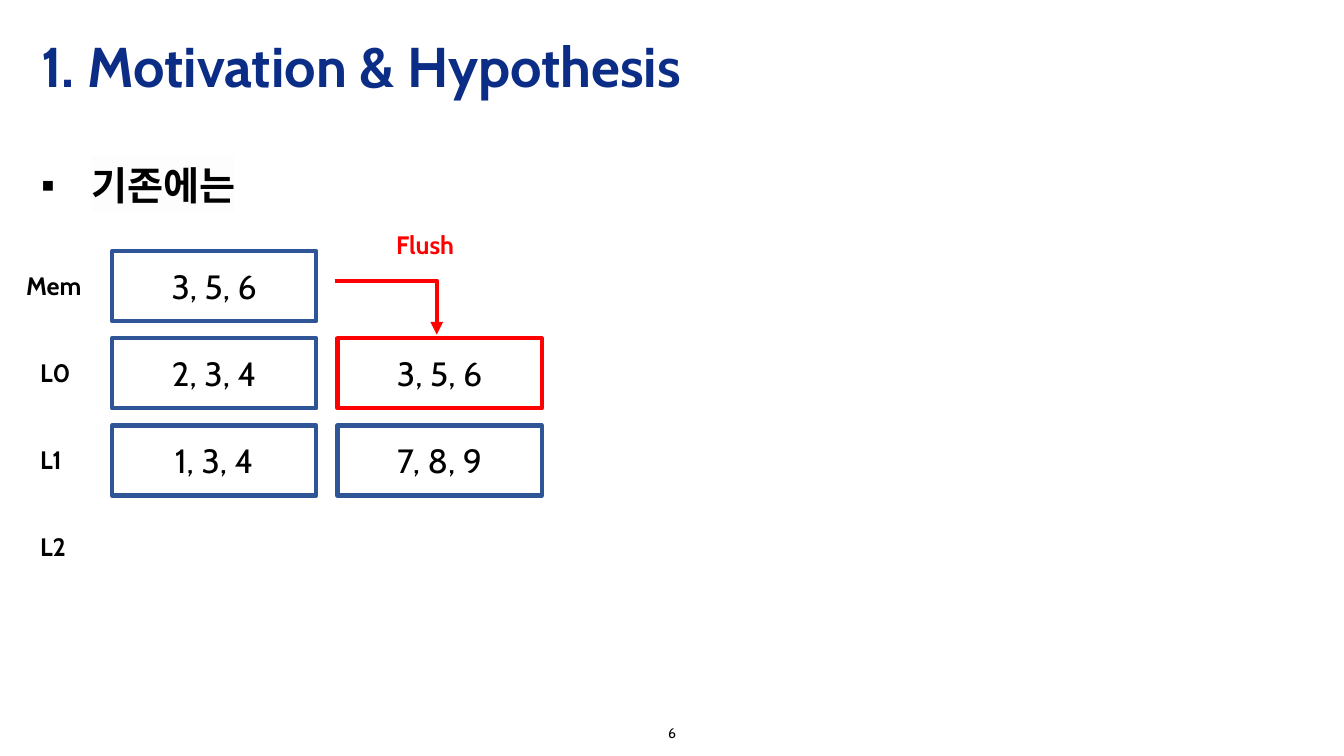
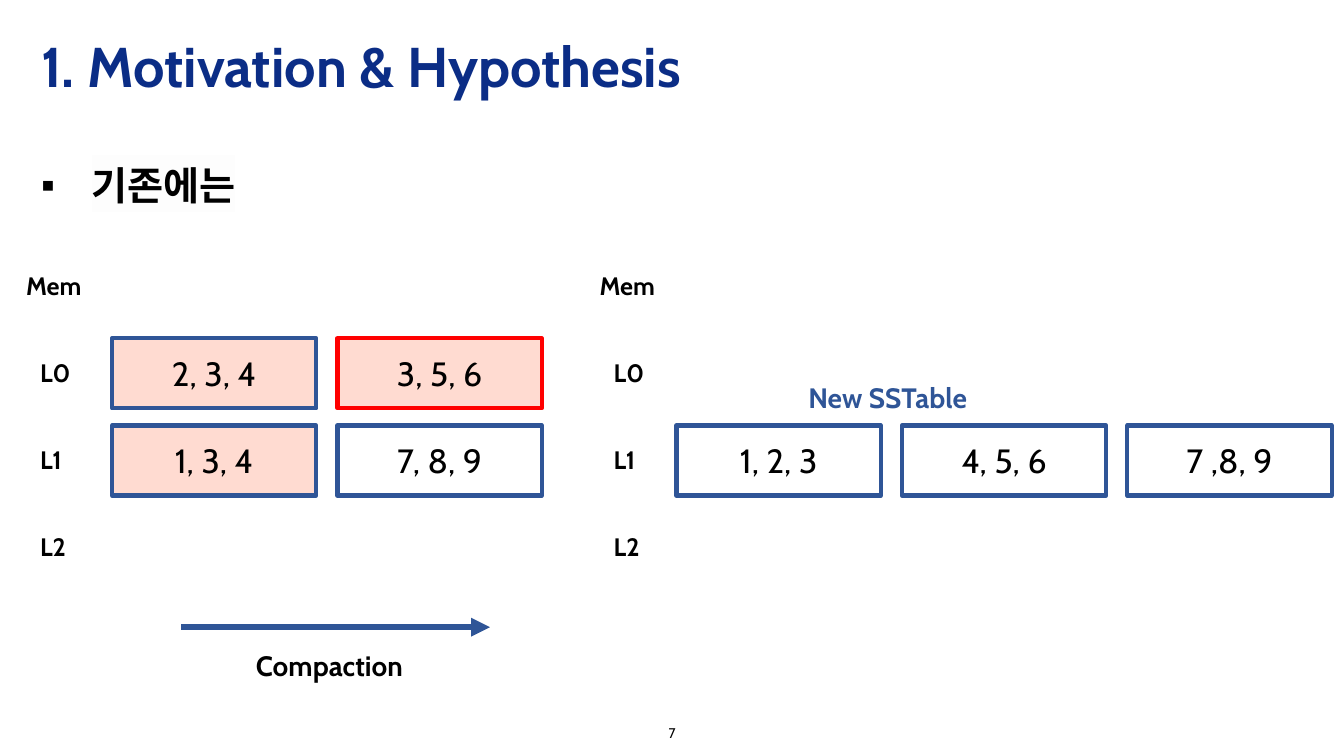
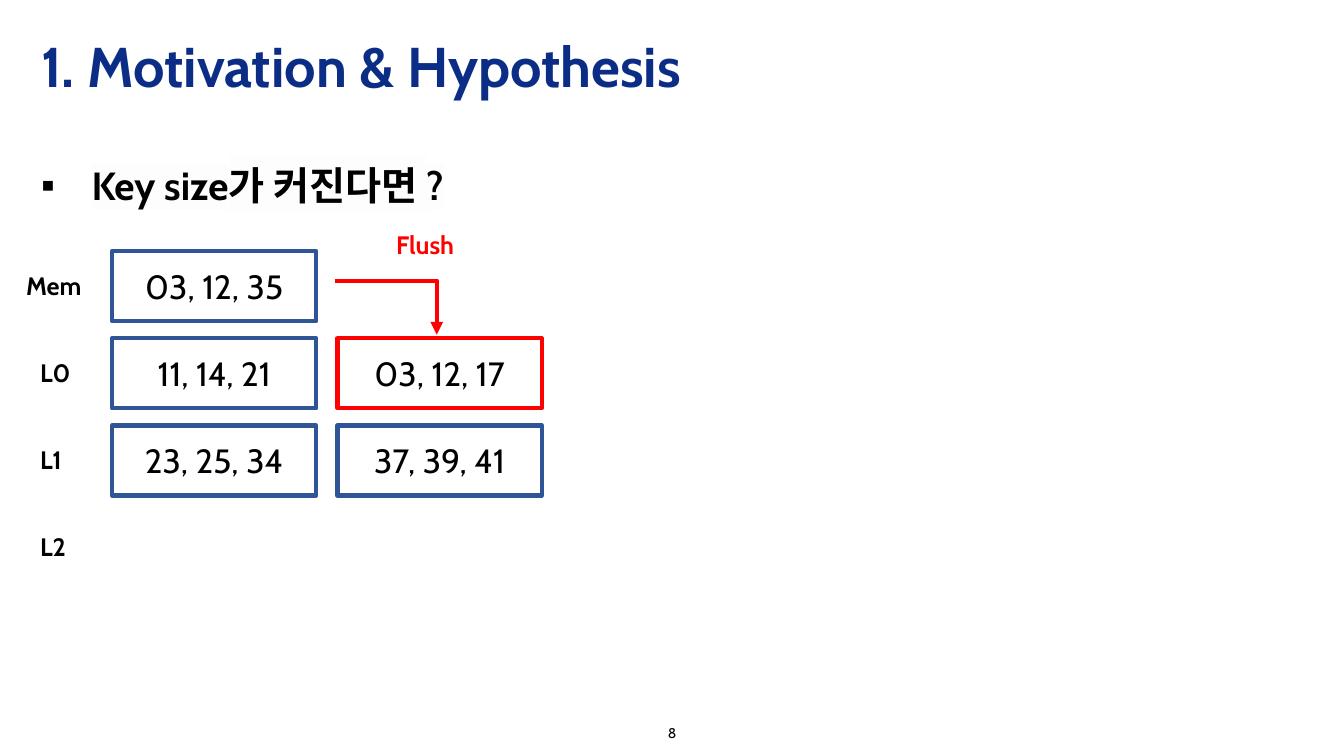
from pptx import Presentation
from pptx.dml.color import RGBColor
from pptx.enum.shapes import MSO_CONNECTOR, MSO_SHAPE
from pptx.enum.text import MSO_ANCHOR, PP_ALIGN
from pptx.oxml.ns import qn
from pptx.util import Pt
from lxml.etree import SubElement

FONT = "Cabin"
NAVY, BLUE, RED, PINK = "0B2D86", "2F5597", "FF0000", "FFDBD1"
BLACK, HIGHLIGHT = "000000", "FDFDFD"

TITLE = "1. Motivation & Hypothesis"
LEVELS = ["Mem", "L0", "L1", "L2"]
MEM, L0, L1 = range(3)

BOX_W, BOX_H = 146, 50
COL_PITCH, ROW_PITCH = 161, 62.3
BOX_TOP, LABEL_TOP = 179.4, 189.4
BEFORE = {"labels": 0, "boxes": 80}
AFTER = {"labels": 409.7, "boxes": 483.2}

# Tables: (level, column, keys, line colour, fill colour or None)
SLIDES = [
    {"page": "6", "heading": "기존에는", "flush": True, "panels": [
        (BEFORE, [(L0, 0, "2, 3, 4", BLUE, None),
                  (L1, 0, "1, 3, 4", BLUE, None),
                  (L1, 1, "7, 8, 9", BLUE, None),
                  (L0, 1, "3, 5, 6", RED, None),
                  (MEM, 0, "3, 5, 6", BLUE, None)])]},
    {"page": "7", "heading": "기존에는", "flush": False, "panels": [
        (BEFORE, [(L0, 0, "2, 3, 4", BLUE, PINK),
                  (L1, 0, "1, 3, 4", BLUE, PINK),
                  (L1, 1, "7, 8, 9", BLUE, None),
                  (L0, 1, "3, 5, 6", RED, PINK)]),
        (AFTER, [(L1, 0, "1, 2, 3", BLUE, None),
                 (L1, 1, "4, 5, 6", BLUE, None),
                 (L1, 2, "7 ,8, 9", BLUE, None)])]},
    {"page": "8", "heading": "Key size가 커진다면 ?", "flush": True, "panels": [
        (BEFORE, [(L0, 0, "11, 14, 21", BLUE, None),
                  (L1, 0, "23, 25, 34", BLUE, None),
                  (L1, 1, "37, 39, 41", BLUE, None),
                  (L0, 1, "03, 12, 17", RED, None),
                  (MEM, 0, "03, 12, 35", BLUE, None)])]},
]


def rgb(color):
    return RGBColor.from_string(color)


def write(sp, text, size, color=BLACK, bold=False, align=PP_ALIGN.LEFT,
          anchor=MSO_ANCHOR.TOP):
    """Put one styled run in the shape and return its paragraph and run."""
    tf = sp.text_frame
    tf.word_wrap = True
    tf.vertical_anchor = anchor
    p = tf.paragraphs[0]
    p.alignment = align
    r = p.add_run()
    r.text = text
    r.font.name = FONT
    r.font.size = Pt(size)
    r.font.bold = bold
    r.font.color.rgb = rgb(color)
    return p, r


def add_text(s, x, y, w, h, text, size, **style):
    sp = s.shapes.add_textbox(Pt(x), Pt(y), Pt(w), Pt(h))
    return write(sp, text, size, **style)


def add_heading(s, text):
    p, r = add_text(s, 22.3, 105.1, 910.8, 398.9, text, 28, bold=True)
    p.line_spacing = 1.2
    pPr = p._p.get_or_add_pPr()
    pPr.set("marL", str(Pt(36)))
    pPr.set("indent", str(Pt(-36)))
    SubElement(pPr, qn("a:buFont"), typeface="Arial")
    SubElement(pPr, qn("a:buChar"), char="▪")
    rPr = r._r.get_or_add_rPr()
    mark = SubElement(rPr, qn("a:highlight"))
    SubElement(mark, qn("a:srgbClr"), val=HIGHLIGHT)
    rPr.find(qn("a:solidFill")).addnext(mark)


def add_frame(s, page, heading):
    p, _ = add_text(s, 22.3, 16.6, 699, 65.5, TITLE, 40, color=NAVY, bold=True,
                    anchor=MSO_ANCHOR.MIDDLE)
    p.line_spacing = 0.9
    add_text(s, 372.2, 512, 216, 23, page, 10, align=PP_ALIGN.CENTER,
             anchor=MSO_ANCHOR.MIDDLE)
    add_heading(s, heading)


def add_panel(s, left, tables):
    for level, col, keys, line, fill in tables:
        sp = s.shapes.add_shape(
            MSO_SHAPE.RECTANGLE, Pt(left["boxes"] + col * COL_PITCH),
            Pt(BOX_TOP + level * ROW_PITCH), Pt(BOX_W), Pt(BOX_H))
        sp.shadow.inherit = False
        sp.line.color.rgb = rgb(line)
        sp.line.width = Pt(3)
        if fill:
            sp.fill.solid()
            sp.fill.fore_color.rgb = rgb(fill)
        else:
            sp.fill.background()
        write(sp, keys, 24, align=PP_ALIGN.CENTER, anchor=MSO_ANCHOR.MIDDLE)
    for level, name in enumerate(LEVELS):
        x, w = (11.5, 84) if level == MEM else (21.6, 49)
        add_text(s, left["labels"] + x, LABEL_TOP + level * ROW_PITCH, w, 29,
                 name, 18, bold=True)


def add_arrow(s, kind, x1, y1, x2, y2, color, width):
    c = s.shapes.add_connector(kind, Pt(x1), Pt(y1), Pt(x2), Pt(y2))
    c.line.color.rgb = rgb(color)
    c.line.width = Pt(width)
    SubElement(c.line._get_or_add_ln(), qn("a:tailEnd"), type="triangle")
    spPr = c._element.spPr
    SubElement(spPr, qn("a:effectLst"))
    if kind == MSO_CONNECTOR.ELBOW:
        spPr.find(qn("a:prstGeom")).set("prst", "bentConnector2")


def add_flush(s):
    add_arrow(s, MSO_CONNECTOR.ELBOW, 239, 200.5, 312, 239, RED, 3)
    add_text(s, 275.8, 160, 84, 29, "Flush", 18, color=RED, bold=True)


def add_compaction(s):
    add_arrow(s, MSO_CONNECTOR.STRAIGHT, 129.6, 448, 350, 448, BLUE, 4.5)
    add_text(s, 175.7, 459.4, 135, 31.5, "Compaction", 20, bold=True)
    add_text(s, 570.3, 268.2, 147, 31.5, "New SSTable", 20, color=BLUE, bold=True)


def main():
    prs = Presentation()
    prs.slide_width, prs.slide_height = Pt(960), Pt(540)
    for content in SLIDES:
        s = prs.slides.add_slide(prs.slide_layouts[6])
        add_frame(s, content["page"], content["heading"])
        for left, tables in content["panels"]:
            add_panel(s, left, tables)
        if content["flush"]:
            add_flush(s)
        else:
            add_compaction(s)
    prs.save("out.pptx")


if __name__ == "__main__":
    main()
